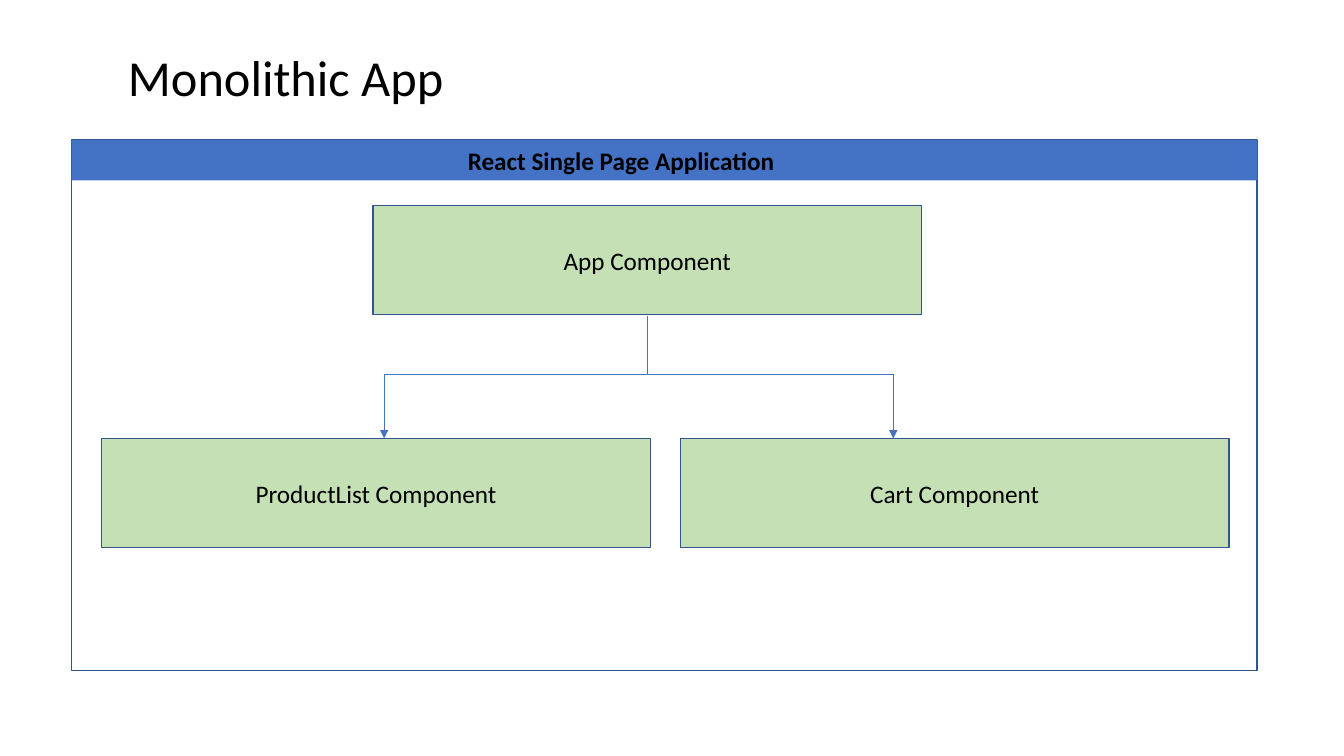
from lxml import etree
from pptx import Presentation
from pptx import util as u
from pptx.dml.color import RGBColor
from pptx.enum import shapes, text
from pptx.oxml.ns import qn

WIDTH, HEIGHT = 13.33, 7.5
TITLE = "Monolithic App"
HEADER = "React Single Page Application"
ROOT = "App Component"
CHILDREN = ["ProductList Component", "Cart Component"]
FONT = "Calibri"
BLACK, WHITE, BLUE, NAVY, GREEN = "000000", "FFFFFF", "4472C4", "325491", "C5E0B4"

FRAME_X, FRAME_Y, FRAME_W, FRAME_H = 0.71, 1.39, 11.76, 5.26
HEADER_H, HEADER_INDENT = 0.4, 3.93
BOX_W, BOX_H, BOX_GAP = 5.44, 1.08, 0.3
ROOT_X, ROOT_Y = 3.7, 2.04
CHILD_X, CHILD_Y = FRAME_X + 0.3, 4.35
BRANCH_Y = 3.71
BRANCH_XS = [3.81, 8.86]

prs = Presentation()
prs.slide_width, prs.slide_height = u.Inches(WIDTH), u.Inches(HEIGHT)
slide = prs.slides.add_slide(prs.slide_layouts[6])


def color(value):
    return RGBColor.from_string(value)


def write(sp, words, size=18, bold=False, align=text.PP_ALIGN.LEFT,
          anchor=text.MSO_ANCHOR.TOP):
    tf = sp.text_frame
    tf.word_wrap = True
    tf.vertical_anchor = anchor
    p = tf.paragraphs[0]
    p.text = words
    p.alignment = align
    font = p.runs[0].font
    font.name, font.size, font.bold = FONT, u.Pt(size), bold
    font.color.rgb = color(BLACK)


def rectangle(x, y, w, h, fill, line=None):
    sp = slide.shapes.add_shape(shapes.MSO_SHAPE.RECTANGLE, *map(u.Inches, (x, y, w, h)))
    sp.shadow.inherit = False
    sp.fill.solid()
    sp.fill.fore_color.rgb = color(fill)
    if line:
        sp.line.color.rgb = color(line)
        sp.line.width = u.Pt(1)
    else:
        sp.line.fill.background()
    return sp


def component(x, y, name):
    sp = rectangle(x, y, BOX_W, BOX_H, GREEN, NAVY)
    write(sp, name, align=text.PP_ALIGN.CENTER, anchor=text.MSO_ANCHOR.MIDDLE)


def connect(x1, y1, x2, y2, arrow=False):
    line = slide.shapes.add_connector(shapes.MSO_CONNECTOR.STRAIGHT,
                                      *map(u.Inches, (x1, y1, x2, y2)))
    line.line.color.rgb = color(BLUE)
    line.line.width = u.Pt(0.5)
    if arrow:
        etree.SubElement(line.line._get_or_add_ln(), qn("a:tailEnd"), type="triangle")
    etree.SubElement(line._element.spPr, qn("a:effectLst"))


title = slide.shapes.add_textbox(*map(u.Inches, (1.17, 0.41, 10.82, 0.71)))
write(title, TITLE, size=36)

rectangle(FRAME_X, FRAME_Y, FRAME_W, FRAME_H, WHITE, NAVY)
header = rectangle(FRAME_X, FRAME_Y, FRAME_W, HEADER_H, BLUE)
write(header, HEADER, bold=True)
header.text_frame.margin_left = u.Inches(HEADER_INDENT)

component(ROOT_X, ROOT_Y, ROOT)
for i, name in enumerate(CHILDREN):
    component(CHILD_X + i * (BOX_W + BOX_GAP), CHILD_Y, name)

root_center = ROOT_X + BOX_W / 2
connect(root_center, ROOT_Y + BOX_H + 0.02, root_center, BRANCH_Y)
connect(BRANCH_XS[0], BRANCH_Y, BRANCH_XS[-1], BRANCH_Y)
for x in BRANCH_XS:
    connect(x, BRANCH_Y, x, CHILD_Y, arrow=True)

prs.save("out.pptx")
